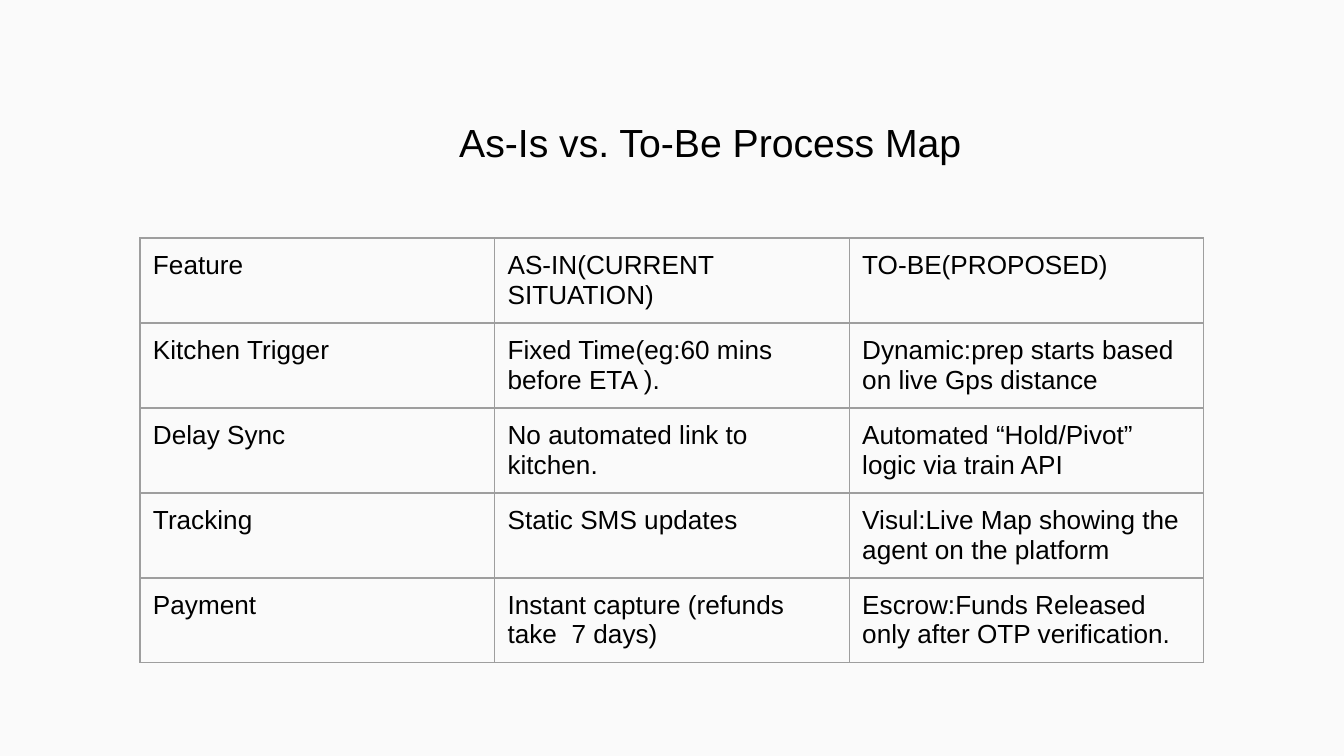
from dataclasses import dataclass

from lxml.etree import SubElement
from pptx import Presentation
from pptx.dml.color import RGBColor
from pptx.enum.text import MSO_ANCHOR, MSO_AUTO_SIZE, PP_ALIGN
from pptx.oxml.ns import qn
from pptx.util import Pt

EMU_PER_PX = 914400 / 134.4


@dataclass(frozen=True)
class Theme:
    background: str = "FAFAFA"
    text: str = "000000"
    border: str = "9E9E9E"
    border_width: float = 0.75
    font: str = "Arial"
    title_size: int = 21
    cell_size: int = 14
    inset: int = 13


THEME = Theme()

PROCESS_ROWS = [
    ("Feature", "AS-IN(CURRENT SITUATION)", "TO-BE(PROPOSED)"),
    ("Kitchen Trigger", "Fixed Time(eg:60 mins before ETA ).",
     "Dynamic:prep starts based on live Gps distance"),
    ("Delay Sync", "No automated link to kitchen.",
     "Automated “Hold/Pivot” logic via train API"),
    ("Tracking", "Static SMS updates",
     "Visul:Live Map showing the agent on the platform"),
    ("Payment", "Instant capture (refunds take  7 days)",
     "Escrow:Funds Released only after OTP verification."),
]


def px(length):
    return round(length * EMU_PER_PX)


def format_text(text_frame, size):
    for paragraph in text_frame.paragraphs:
        for run in paragraph.runs:
            run.font.name = THEME.font
            run.font.size = Pt(size)
            run.font.bold = False
            run.font.color.rgb = RGBColor.from_string(THEME.text)


def set_margins(box):
    """Apply the theme inset to a text frame or a table cell."""
    box.margin_left = box.margin_right = px(THEME.inset)
    box.margin_top = box.margin_bottom = px(THEME.inset)


def set_borders(cell):
    properties = cell._tc.get_or_add_tcPr()
    for index, side in enumerate(("a:lnL", "a:lnR", "a:lnT", "a:lnB")):
        line = SubElement(properties, qn(side), w=str(Pt(THEME.border_width)))
        fill = SubElement(line, qn("a:solidFill"))
        SubElement(fill, qn("a:srgbClr"), val=THEME.border)
        properties.insert(index, line)  # borders must precede the cell fill


def place_title(slide, text, left, top, width, height):
    title = slide.shapes.title
    title.left, title.top = px(left), px(top)
    title.width, title.height = px(width), px(height)
    text_frame = title.text_frame
    text_frame.text = text
    text_frame.word_wrap = True
    text_frame.auto_size = MSO_AUTO_SIZE.NONE
    text_frame.vertical_anchor = MSO_ANCHOR.TOP
    text_frame.paragraphs[0].alignment = PP_ALIGN.CENTER
    set_margins(text_frame)
    format_text(text_frame, THEME.title_size)


def place_process_table(slide, rows, left, top, width, height):
    table = slide.shapes.add_table(
        len(rows), len(rows[0]), px(left), px(top), px(width), px(height)).table
    table.first_row = table.horz_banding = False
    for row, texts in zip(table.rows, rows):
        for cell, text in zip(row.cells, texts):
            cell.text_frame.text = text
            cell.fill.background()
            set_margins(cell)
            set_borders(cell)
            format_text(cell.text_frame, THEME.cell_size)


def main():
    presentation = Presentation()
    presentation.slide_width, presentation.slide_height = px(1344), px(756)
    slide = presentation.slides.add_slide(presentation.slide_layouts.get_by_name("Title Only"))
    background = slide.background.fill
    background.solid()
    background.fore_color.rgb = RGBColor.from_string(THEME.background)
    place_process_table(slide, PROCESS_ROWS, 140, 238, 1064, 425)
    place_title(slide, "As-Is vs. To-Be Process Map", 441, 105, 539, 75)
    presentation.save("out.pptx")


if __name__ == "__main__":
    main()
